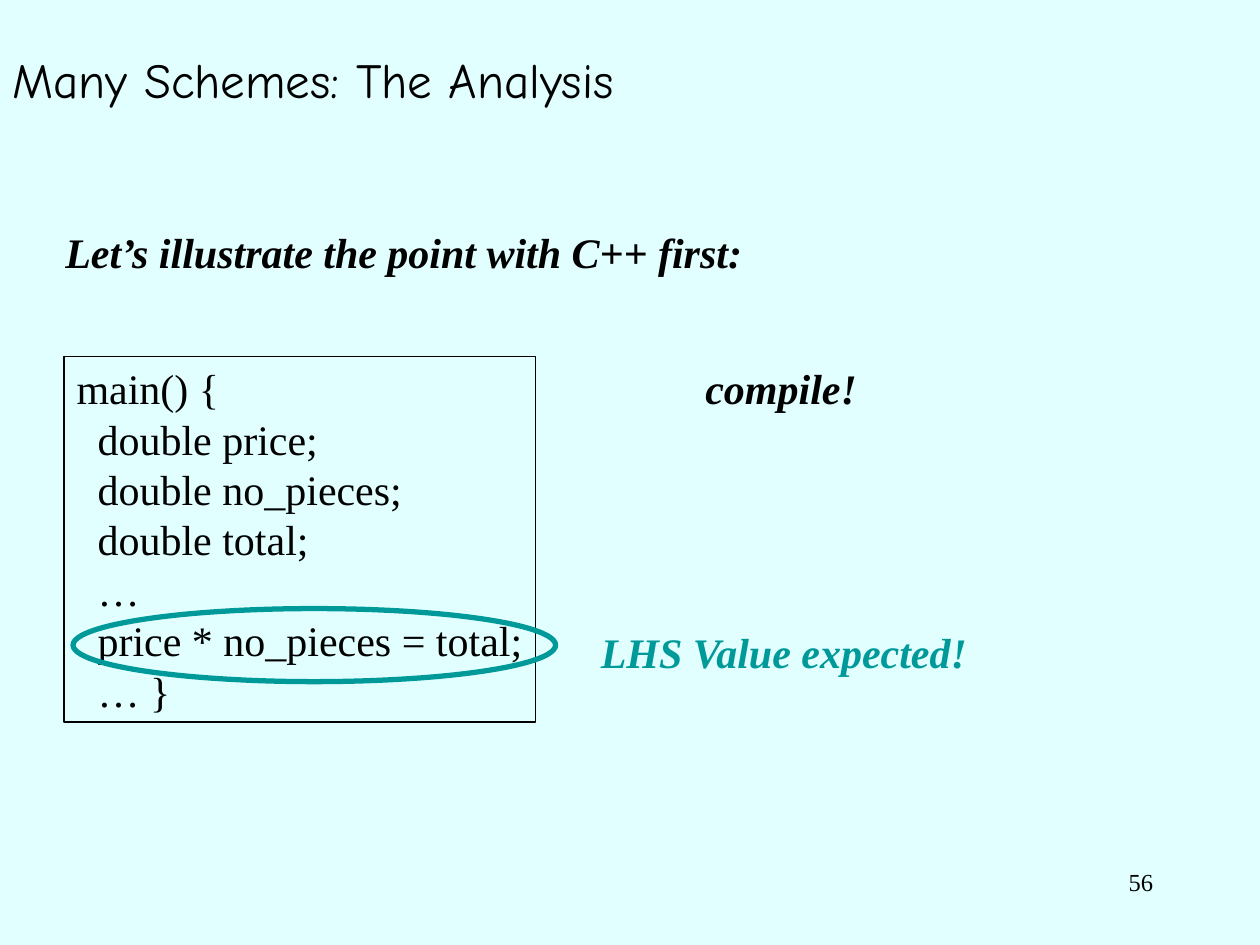
from pptx import Presentation
from pptx.dml.color import RGBColor
from pptx.enum.shapes import MSO_SHAPE
from pptx.enum.text import MSO_ANCHOR, PP_ALIGN
from pptx.util import Inches, Pt

BLACK, TEAL, PALE = "000000", "009999", "E1FFFF"


def color(value):
    return RGBColor.from_string(value)


def write(shape, lines, ink, align=PP_ALIGN.LEFT, wrap=False, anchor=MSO_ANCHOR.TOP, **style):
    frame = shape.text_frame
    frame.word_wrap = wrap
    frame.vertical_anchor = anchor
    frame.text = "\n".join(lines)
    for para in frame.paragraphs:
        para.alignment = align
        for name, value in style.items():
            setattr(para.font, name, value)
        para.font.color.rgb = color(ink)


deck = Presentation()
deck.slide_width, deck.slide_height = Inches(10), Inches(7.5)
page = deck.slides.add_slide(deck.slide_layouts[5])
page.background.fill.solid()
page.background.fill.fore_color.rgb = color(PALE)

title = page.shapes.title
title.left, title.top, title.width, title.height = Inches(0), Inches(0), Inches(8.5), Inches(1.25)
write(title, ["Many Schemes: The Analysis"], BLACK, wrap=True, anchor=MSO_ANCHOR.MIDDLE,
      name="Comic Neue", size=Pt(28))

code_lines = [
    "main() {",
    "  double price;",
    "  double no_pieces;",
    "  double total;",
    "  …",
    "  price * no_pieces = total;",
    "  … }",
]
code_box = page.shapes.add_shape(
    MSO_SHAPE.RECTANGLE, Inches(0.51), Inches(2.83), Inches(3.74), Inches(2.9))
highlight = page.shapes.add_shape(
    MSO_SHAPE.OVAL, Inches(0.58), Inches(4.83), Inches(3.83), Inches(0.58))
for shape, line_color, line_width in [(code_box, BLACK, 1), (highlight, TEAL, 3)]:
    shape.shadow.inherit = False
    shape.fill.background()
    shape.line.color.rgb = color(line_color)
    shape.line.width = Pt(line_width)
write(code_box, code_lines, BLACK, name="Times New Roman", size=Pt(24))

remarks = [
    ("Let’s illustrate the point with C++ first:", 0.42, 1.75, 5.68, BLACK),
    ("compile!", 5.5, 2.83, 1.4, BLACK),
    ("LHS Value expected!", 4.67, 4.92, 3.14, TEAL),
]
for text, left, top, width, ink in remarks:
    box = page.shapes.add_textbox(Inches(left), Inches(top), Inches(width), Inches(0.5))
    write(box, [text], ink, name="Times New Roman", size=Pt(24), bold=True, italic=True)

page_number = page.shapes.add_textbox(Inches(7.17), Inches(6.83), Inches(2.08), Inches(0.5))
write(page_number, ["56"], BLACK, align=PP_ALIGN.RIGHT, wrap=True,
      name="Times New Roman", size=Pt(14))

deck.save("out.pptx")
